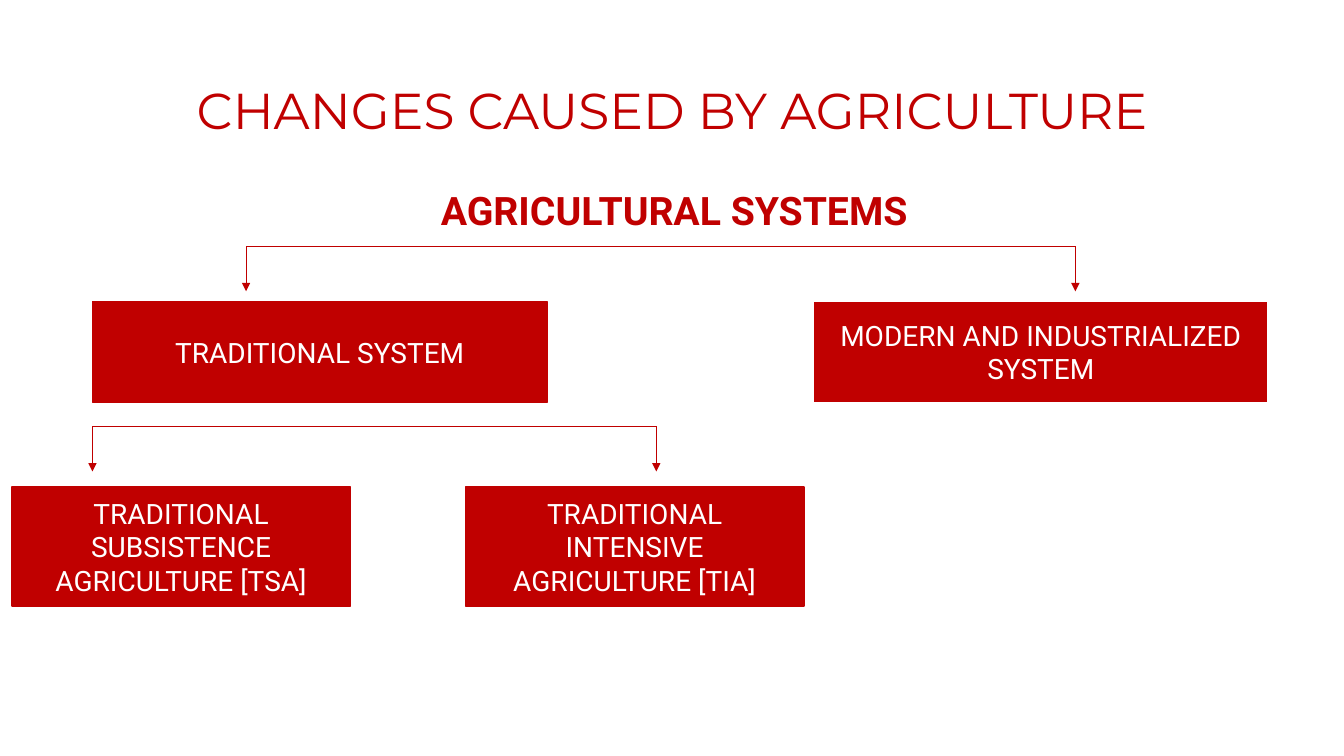
import dataclasses

import pptx
import pptx.dml.color
import pptx.enum.shapes
import pptx.enum.text
import pptx.oxml
import pptx.oxml.ns
import pptx.util
from pptx.util import Cm, Pt


@dataclasses.dataclass(frozen=True)
class Theme:
    red: pptx.dml.color.RGBColor = pptx.dml.color.RGBColor(0xC0, 0x00, 0x00)
    white: pptx.dml.color.RGBColor = pptx.dml.color.RGBColor(0xFF, 0xFF, 0xFF)
    title_font: str = "Montserrat"
    body_font: str = "Roboto"
    title_size: pptx.util.Length = Pt(36)
    heading_size: pptx.util.Length = Pt(28)
    label_size: pptx.util.Length = Pt(20)
    outline: pptx.util.Length = Pt(1)
    branch: pptx.util.Length = Pt(0.5)


THEME = Theme()
TITLE_FORMAT = {"name": THEME.title_font, "size": THEME.title_size, "bold": False}
HEADING_FORMAT = {"name": THEME.body_font, "size": THEME.heading_size, "bold": True}
LABEL_FORMAT = {"name": THEME.body_font, "size": THEME.label_size, "bold": False}


def write_text(shape, text, font_format, color, anchor, line_spacing=1.0):
    frame = shape.text_frame
    frame.word_wrap = True
    frame.vertical_anchor = anchor
    para = frame.paragraphs[0]
    para.alignment = pptx.enum.text.PP_ALIGN.CENTER
    para.line_spacing = line_spacing
    span = para.add_run()
    span.text = text
    for name, value in font_format.items():
        setattr(span.font, name, value)
    span.font.color.rgb = color


def add_heading(page, text, left, top, width, height, font_format, anchor):
    box = page.shapes.add_textbox(Cm(left), Cm(top), Cm(width), Cm(height))
    write_text(box, text, font_format, THEME.red, anchor, line_spacing=0.9)


def add_system_box(page, text, left, top, width, height, outline=THEME.red):
    box = page.shapes.add_shape(
        pptx.enum.shapes.MSO_SHAPE.FLOWCHART_PROCESS,
        Cm(left), Cm(top), Cm(width), Cm(height))
    box.shadow.inherit = False
    box.fill.solid()
    box.fill.fore_color.rgb = THEME.red
    box.line.color.rgb = outline
    box.line.width = THEME.outline
    write_text(box, text, LABEL_FORMAT, THEME.white,
               pptx.enum.text.MSO_ANCHOR.MIDDLE)


def add_line(page, start_x, start_y, end_x, end_y, arrow=False):
    line = page.shapes.add_connector(
        pptx.enum.shapes.MSO_CONNECTOR.STRAIGHT,
        Cm(start_x), Cm(start_y), Cm(end_x), Cm(end_y))
    line.line.color.rgb = THEME.red
    line.line.width = THEME.branch
    if arrow:
        outline = line.line._get_or_add_ln()
        head = pptx.oxml.parse_xml(
            f'<a:tailEnd {pptx.oxml.ns.nsdecls("a")} type="triangle"/>')
        outline.append(head)
    properties = line._element.spPr
    properties.append(pptx.oxml.parse_xml(
        f'<a:effectLst {pptx.oxml.ns.nsdecls("a")}/>'))


def add_fork(page, left, right, top, drop=1.14):
    """Draw a horizontal bar with an arrow pointing down at each end."""
    add_line(page, left, top, right, top)
    for x in (left, right):
        add_line(page, x, top, x, top + drop, arrow=True)


def main():
    deck = pptx.Presentation()
    deck.slide_width, deck.slide_height = Cm(33.87), Cm(19.05)
    page = deck.slides.add_slide(deck.slide_layouts[6])
    anchors = pptx.enum.text.MSO_ANCHOR

    add_heading(page, "CHANGES CAUSED BY AGRICULTURE",
                2.33, 1.01, 29.21, 3.68, TITLE_FORMAT, anchors.MIDDLE)
    add_heading(page, "AGRICULTURAL SYSTEMS",
                0.66, 4.7, 32.66, 14.02, HEADING_FORMAT, anchors.TOP)

    add_fork(page, left=6.2, right=27.1, top=6.2)
    for text, left, outline in (
            ("TRADITIONAL SYSTEM", 2.33, THEME.red),
            ("MODERN AND INDUSTRIALIZED SYSTEM", 20.5, THEME.white)):
        add_system_box(page, text, left, 7.6, 11.46, 2.54, outline)

    add_fork(page, left=2.33, right=16.54, top=10.74)
    for text, left in (
            ("TRADITIONAL SUBSISTENCE AGRICULTURE [TSA]", 0.3),
            ("TRADITIONAL INTENSIVE AGRICULTURE [TIA]", 11.73)):
        add_system_box(page, text, left, 12.27, 8.53, 3)

    deck.save("out.pptx")


if __name__ == "__main__":
    main()
